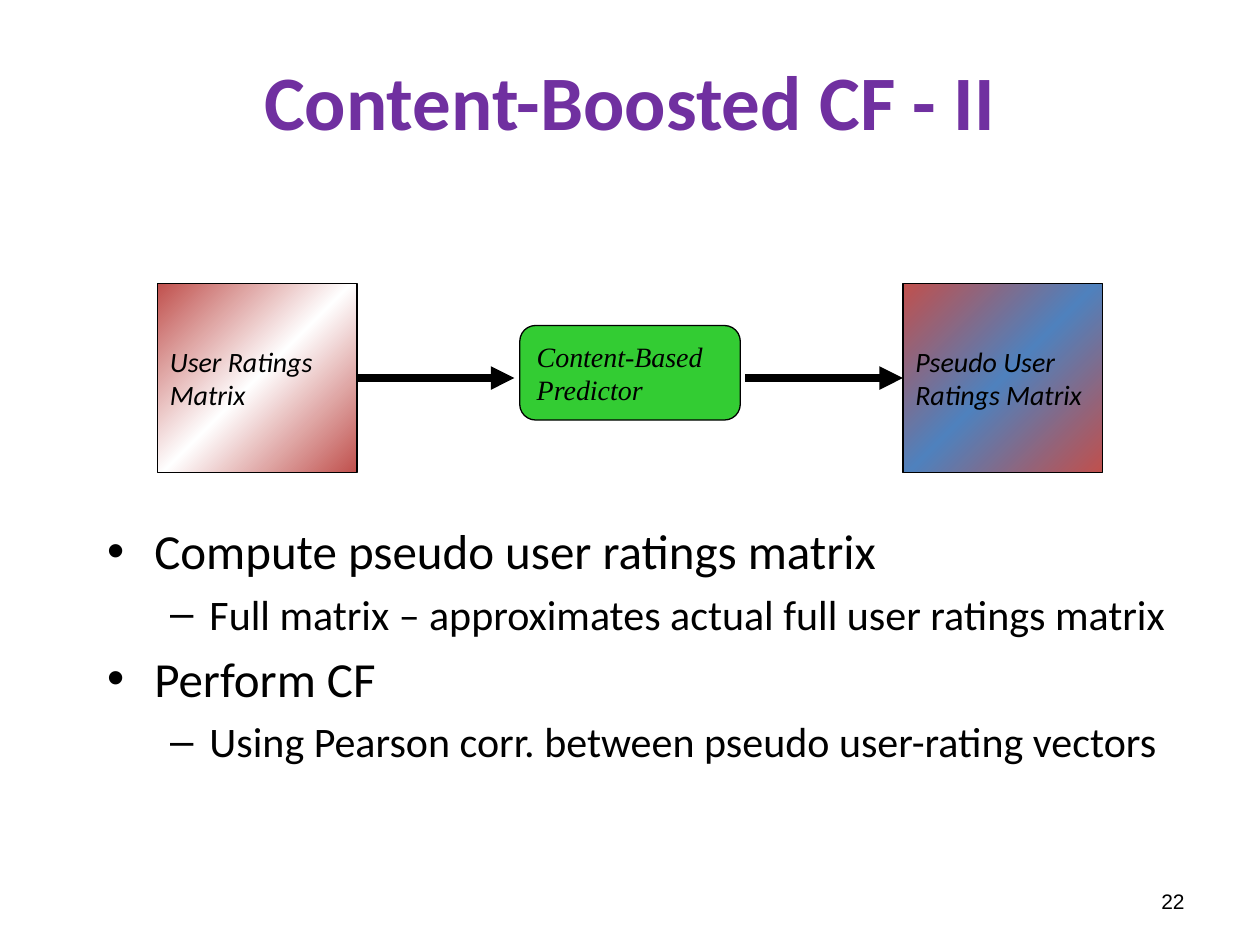
import copy

import pptx
import pptx.dml.color
import pptx.enum.shapes
import pptx.enum.text
import pptx.oxml
import pptx.oxml.ns
import pptx.util

RGBColor = pptx.dml.color.RGBColor
BLACK = RGBColor(0x00, 0x00, 0x00)
WHITE = RGBColor(0xFF, 0xFF, 0xFF)
PURPLE = RGBColor(0x70, 0x30, 0xA0)
RED = RGBColor(0xC0, 0x50, 0x4D)
BLUE = RGBColor(0x4F, 0x81, 0xBD)
GREEN = RGBColor(0x33, 0xCC, 0x33)

ALIGN = pptx.enum.text.PP_ALIGN
MIDDLE = pptx.enum.text.MSO_ANCHOR.MIDDLE
SHAPE = pptx.enum.shapes.MSO_SHAPE

presentation = pptx.Presentation()
presentation.slide_width = pptx.util.Inches(10)
presentation.slide_height = pptx.util.Inches(7.5)
slide = presentation.slides.add_slide(presentation.slide_layouts[1])
COLUMN = presentation.slide_width / 120
ROW = presentation.slide_height / 90


def cells(left, top, width, height):
    return [round(left * COLUMN), round(top * ROW), round(width * COLUMN), round(height * ROW)]


def write(shape, text, size=16, font="Calibri", color=BLACK, bold=False, italic=False,
          align=ALIGN.LEFT, anchor=MIDDLE, wrap=True, levels=None):
    frame = shape.text_frame
    frame.text = text
    frame.word_wrap = wrap
    frame.vertical_anchor = anchor
    for index, paragraph in enumerate(frame.paragraphs):
        paragraph.alignment = align
        paragraph.level = levels[index] if levels else 0
        for run in paragraph.runs:
            run.font.size = pptx.util.Pt(size - 4 * paragraph.level)
            run.font.name = font
            run.font.color.rgb = color
            run.font.bold = bold
            run.font.italic = italic


title = slide.shapes.title
title.left, title.top, title.width, title.height = cells(9, 3, 102, 13)
write(title, "Content-Boosted CF - II", size=44, color=PURPLE, bold=True, align=ALIGN.CENTER)

body = slide.placeholders[1]
body.left, body.top, body.width, body.height = cells(9, 49, 105, 32)
write(
    body,
    "Compute pseudo user ratings matrix\n"
    "Full matrix – approximates actual full user ratings matrix\n"
    "Perform CF\n"
    "Using Pearson corr. between pseudo user-rating vectors",
    size=28, anchor=pptx.enum.text.MSO_ANCHOR.TOP, levels=[0, 1, 0, 1],
)

page_number = slide.shapes.add_textbox(*cells(86, 83.4, 28, 4.8))
write(page_number, "22", size=12, font="Arial", align=ALIGN.RIGHT)

boxes = []
for kind, place, text, font, colors in [
    (SHAPE.RECTANGLE, (15, 27, 19, 18), "User Ratings\nMatrix", "Calibri", [RED, WHITE, RED]),
    (SHAPE.RECTANGLE, (86, 27, 19, 18), "Pseudo User\nRatings Matrix", "Calibri", [RED, BLUE, RED]),
    (SHAPE.ROUNDED_RECTANGLE, (49.5, 31, 21, 9), "Content-Based\nPredictor", "Times New Roman", [GREEN]),
]:
    box = slide.shapes.add_shape(kind, *cells(*place))
    box.shadow.inherit = False
    box.line.color.rgb = BLACK
    box.line.width = pptx.util.Pt(0.75)
    if len(colors) == 1:
        box.fill.solid()
        box.fill.fore_color.rgb = colors[0]
    else:
        box.fill.gradient()
        box.fill.gradient_angle = 315
        stop_list = box.element.xpath(".//a:gsLst")[0]
        stop_list.insert(1, copy.deepcopy(stop_list[0]))
        for index, (stop, color) in enumerate(zip(box.fill.gradient_stops, colors)):
            stop.position = index / 2
            stop.color.rgb = color
    write(box, text, font=font, italic=True, wrap=False)
    boxes.append(box)
ratings, pseudo_ratings, predictor = boxes

arrows = []
for start in (34, 71):
    left, top, width, height = cells(start, 36, 15, 0)
    arrow = slide.shapes.add_connector(
        pptx.enum.shapes.MSO_CONNECTOR.STRAIGHT, left, top, left + width, top
    )
    arrow.line.color.rgb = BLACK
    arrow.line.width = pptx.util.Pt(4.5)
    head = pptx.oxml.parse_xml(f'<a:tailEnd {pptx.oxml.ns.nsdecls("a")} type="triangle"/>')
    arrow.line._get_or_add_ln().append(head)
    effects = pptx.oxml.parse_xml(f'<a:effectLst {pptx.oxml.ns.nsdecls("a")}/>')
    arrow.element.spPr.append(effects)
    arrows.append(arrow)
arrows[0].begin_connect(ratings, 3)
arrows[1].end_connect(pseudo_ratings, 1)

presentation.save("out.pptx")
